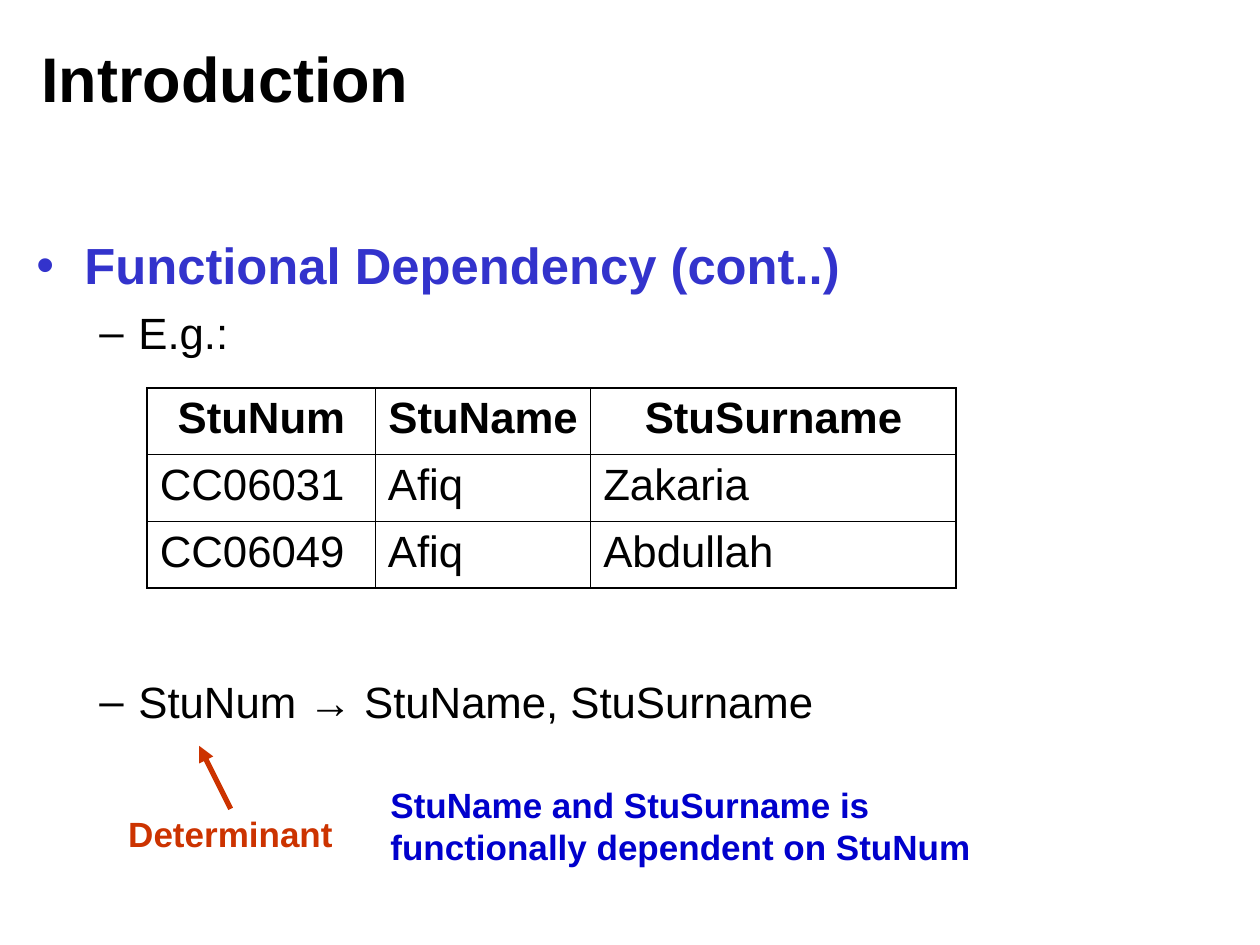
from lxml import etree
from pptx import Presentation
from pptx.dml.color import RGBColor
from pptx.enum.shapes import MSO_CONNECTOR
from pptx.enum.text import MSO_ANCHOR, PP_ALIGN
from pptx.oxml.ns import qn
from pptx.util import Pt

STRAIGHT = MSO_CONNECTOR.STRAIGHT
TOP, MIDDLE = MSO_ANCHOR.TOP, MSO_ANCHOR.MIDDLE
CENTER, LEFT = PP_ALIGN.CENTER, PP_ALIGN.LEFT
FONT = "Arial"
COLORS = {"black": "000000", "topic": "3333CC", "determinant": "CC3300", "dependent": "0000CC"}

TITLE = ("Introduction", 36, "black", True)
POINTS = [
    (("Functional Dependency (cont..)", 29, "topic", True), "•", 27.4, -27.4, 0),
    (("E.g.:", 25, "black", False), "–", 58.3, -22.3, 6.2),
    (("StuNum → StuName, StuSurname", 25, "black", False), "–", 58.3, -22.3, 181),
]
STUDENTS = [
    ("StuNum", "StuName", "StuSurname"),
    ("CC06031", "Afiq", "Zakaria"),
    ("CC06049", "Afiq", "Abdullah"),
]
COLUMN_WIDTHS = (130.3, 123.1, 208.8)
ROW_HEIGHT = 38.1
OUTER, INNER = 1.08, 0.45
NOTES = [
    (("Determinant", 20, "determinant", True), (66.2, 460.8, 138.2, 31.7)),
    (("StuName and StuSurname is functionally dependent on StuNum", 20, "dependent", True),
     (216, 444.2, 378, 55.4)),
]
ARROW = (131.8, 462.2, 113.8, 426.2)


def rgb(color):
    return RGBColor.from_string(COLORS[color])


def add_run(paragraph, text, size, color, bold):
    run = paragraph.add_run()
    run.text = text
    run.font.name = FONT
    run.font.size = Pt(size)
    run.font.bold = bold
    run.font.color.rgb = rgb(color)


def add_frame(slide, box, anchor=TOP):
    frame = slide.shapes.add_textbox(*map(Pt, box)).text_frame
    frame.word_wrap = True
    frame.vertical_anchor = anchor
    return frame


def set_bullet(paragraph, char, color, margin, indent):
    props = paragraph._p.get_or_add_pPr()
    props.set("marL", str(Pt(margin)))
    props.set("indent", str(Pt(indent)))
    bullet_color = etree.SubElement(props, qn("a:buClr"))
    etree.SubElement(bullet_color, qn("a:srgbClr"), val=COLORS[color])
    etree.SubElement(props, qn("a:buFont"), typeface=FONT)
    etree.SubElement(props, qn("a:buChar"), char=char)


def add_points(slide):
    frame = add_frame(slide, (13.7, 130.3, 676.1, 349.9))
    for i, (content, char, margin, indent, space) in enumerate(POINTS):
        paragraph = frame.add_paragraph() if i else frame.paragraphs[0]
        set_bullet(paragraph, char, content[2], margin, indent)
        paragraph.space_before = Pt(space)
        add_run(paragraph, *content)


def set_borders(cell, widths):
    props = cell._tc.get_or_add_tcPr()
    for i, (side, width) in enumerate(widths.items()):
        line = etree.Element(qn(f"a:ln{side}"), w=str(Pt(width)))
        fill = etree.SubElement(line, qn("a:solidFill"))
        etree.SubElement(fill, qn("a:srgbClr"), val=COLORS["black"])
        props.insert(i, line)


def add_students(slide):
    rows, cols = len(STUDENTS), len(COLUMN_WIDTHS)
    box = (84.2, 221.8, sum(COLUMN_WIDTHS), rows * ROW_HEIGHT)
    table = slide.shapes.add_table(rows, cols, *map(Pt, box)).table
    table.horz_banding = False
    for column, width in zip(table.columns, COLUMN_WIDTHS):
        column.width = Pt(width)
    for r, values in enumerate(STUDENTS):
        table.rows[r].height = Pt(ROW_HEIGHT)
        for c, value in enumerate(values):
            cell = table.cell(r, c)
            cell.fill.background()
            set_borders(cell, {
                "L": OUTER if c == 0 else INNER,
                "R": OUTER if c == cols - 1 else INNER,
                "T": OUTER if r == 0 else INNER,
                "B": OUTER if r == rows - 1 else INNER,
            })
            paragraph = cell.text_frame.paragraphs[0]
            paragraph.alignment = CENTER if r == 0 else LEFT
            add_run(paragraph, value, 25, "black", r == 0)


def add_arrow(slide):
    arrow = slide.shapes.add_connector(STRAIGHT, *map(Pt, ARROW))
    arrow.line.color.rgb = rgb("determinant")
    arrow.line.width = Pt(3)
    etree.SubElement(arrow.line._get_or_add_ln(), qn("a:tailEnd"), type="triangle")
    etree.SubElement(arrow._element.spPr, qn("a:effectLst"))


def main():
    deck = Presentation()
    deck.slide_width, deck.slide_height = Pt(720), Pt(540)
    slide = deck.slides.add_slide(deck.slide_layouts[6])
    title = add_frame(slide, (16.6, 10.8, 578.2, 67), MIDDLE)
    add_run(title.paragraphs[0], *TITLE)
    add_points(slide)
    add_students(slide)
    add_arrow(slide)
    for content, box in NOTES:
        add_run(add_frame(slide, box).paragraphs[0], *content)
    deck.save("out.pptx")


if __name__ == "__main__":
    main()
